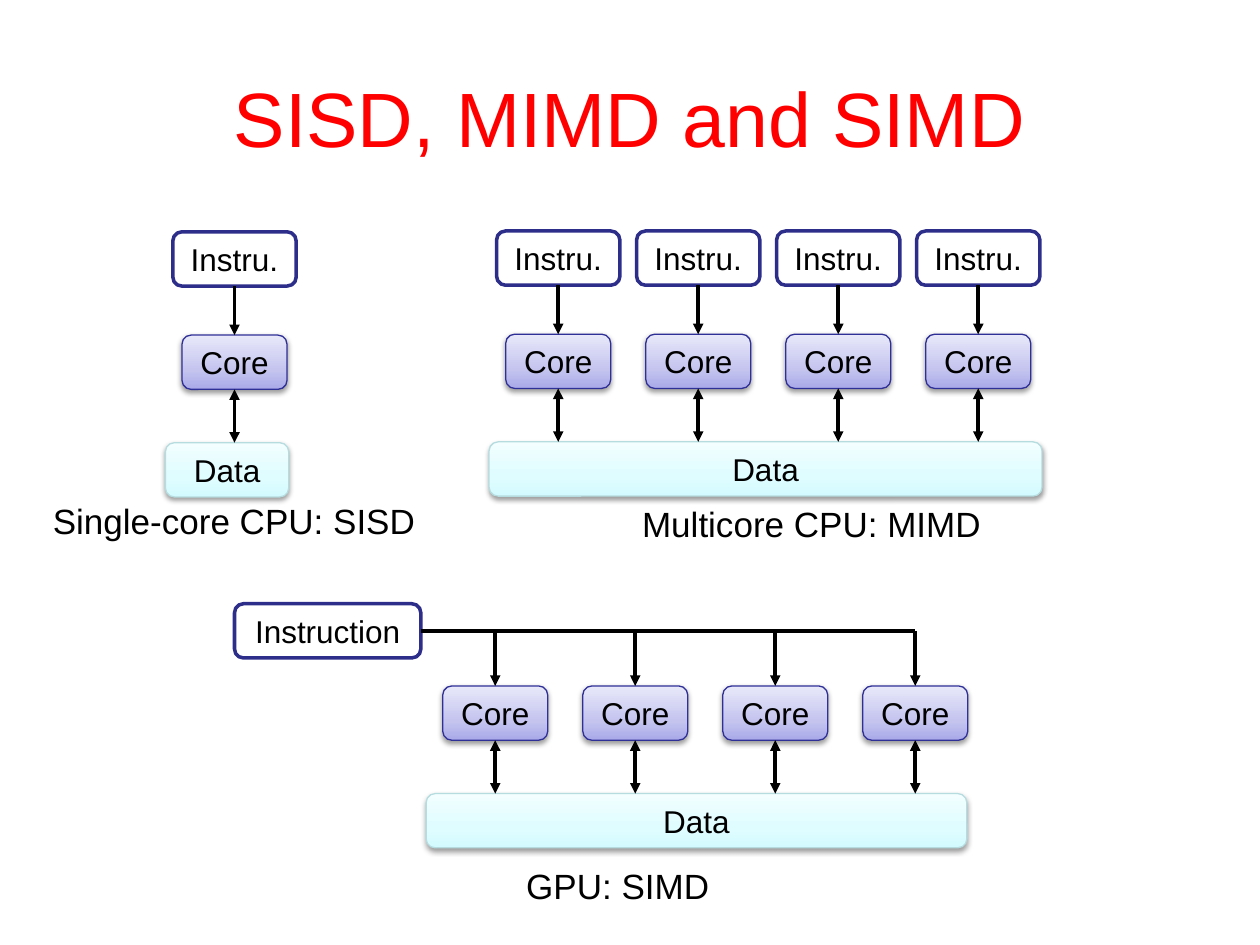
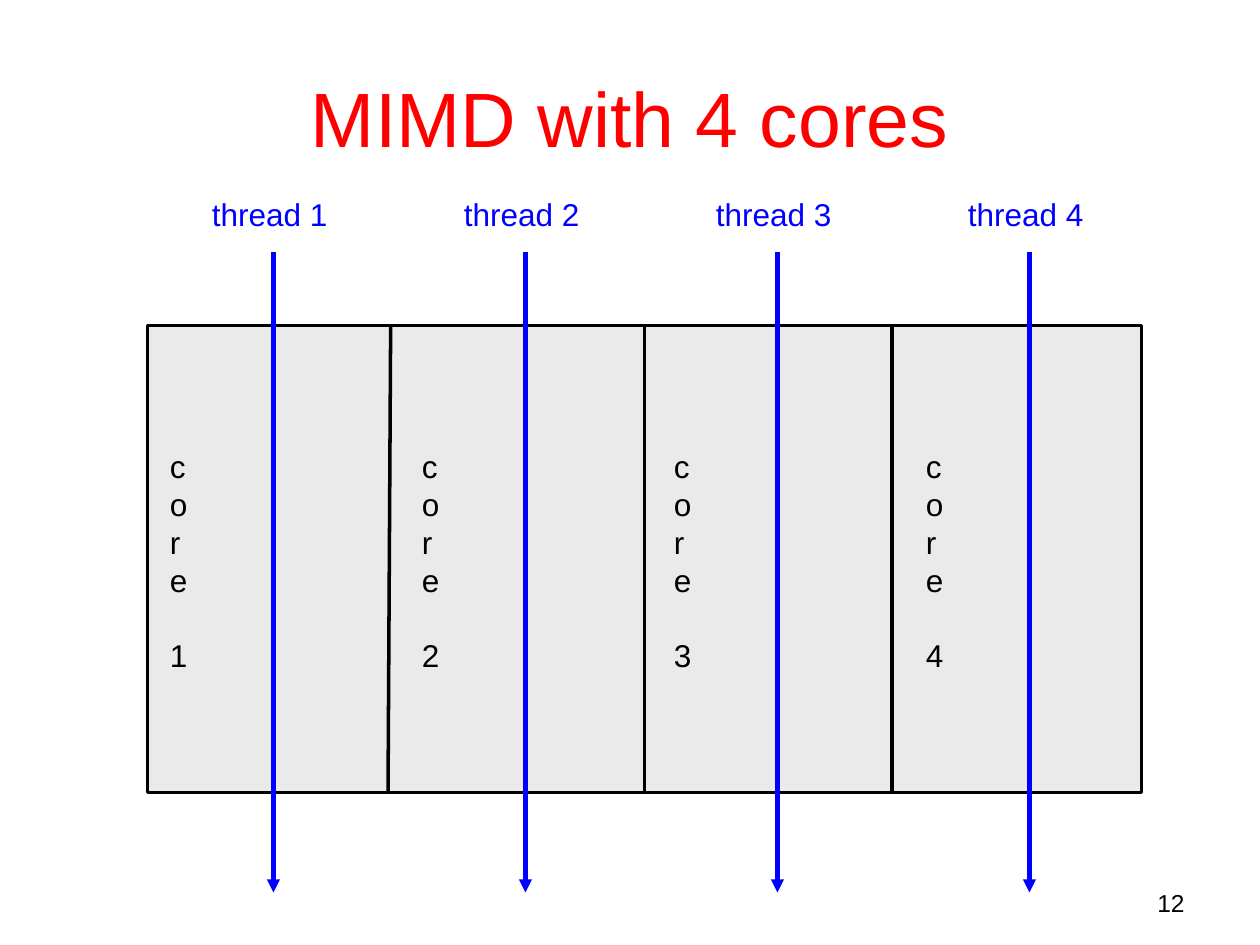
from dataclasses import dataclass

from lxml.etree import SubElement
from pptx import Presentation
from pptx.dml.color import RGBColor
from pptx.enum.shapes import MSO_CONNECTOR as CONN, MSO_SHAPE as SHAPE
from pptx.enum.text import MSO_ANCHOR as ANCHOR, PP_ALIGN as ALIGN
from pptx.oxml.ns import qn
from pptx.util import Pt


@dataclass(frozen=True)
class Theme:
    """Colours, type sizes and measures shared by the slides."""
    font: str = "Arial"
    title: str = "FF0000"
    ink: str = "000000"
    thread: str = "0000FF"
    panel: str = "EAEAEA"
    white: str = "FFFFFF"
    instr_line: str = "2D2D8A"
    core_line: str = "2F2F98"
    data_line: str = "B6DCDF"
    core_fill: tuple = ((0, "A9A9E9"), (35, "C4C4EF"), (100, "E8E8FA"))
    data_fill: tuple = ((0, "D3FBFF"), (35, "DFFCFF"), (100, "F2FEFF"))
    title_size: int = 44
    caption_size: int = 20
    label_size: int = 18
    page_size: int = 14
    block_h: float = 31
    core_w: float = 60
    core_pitch: float = 80
    core_indent: float = 9.5
    core_to_data: float = 61.5


T = Theme()


def rgb(value):
    """Turn a hex string into a colour."""
    return RGBColor.from_string(value)


def write(tf, *lines, size=T.label_size, color=T.ink, align=ALIGN.LEFT,
          anchor=ANCHOR.TOP, wrap=True, leading=None, gap=0):
    """Fill a text frame with one paragraph per line."""
    tf.word_wrap = wrap
    tf.vertical_anchor = anchor
    for i, line in enumerate(lines):
        p = tf.paragraphs[0] if i == 0 else tf.add_paragraph()
        p.alignment = align
        if leading:
            p.line_spacing = Pt(leading)
        if i and gap:
            p.space_before = Pt(gap)
        r = p.add_run()
        r.text = line
        r.font.name = T.font
        r.font.size = Pt(size)
        r.font.color.rgb = rgb(color)


def text(s, box, *lines, **fmt):
    """Add a text box at the given box."""
    write(s.shapes.add_textbox(*map(Pt, box)).text_frame, *lines, **fmt)


def shape(s, kind, box, fill, line, width):
    """Add a flat preset shape."""
    sp = s.shapes.add_shape(kind, *map(Pt, box))
    sp.shadow.inherit = False
    sp.fill.solid()
    sp.fill.fore_color.rgb = rgb(fill)
    sp.line.color.rgb = rgb(line)
    sp.line.width = Pt(width)
    return sp


def glossy(sp, stops):
    """Give a shape an upward gradient and a soft shadow."""
    sp.fill.gradient()
    sp.fill.gradient_angle = 90
    props = sp.element.spPr
    stop_list = props.find(".//" + qn("a:gsLst"))
    stop_list.clear()
    for pos, color in stops:
        stop = SubElement(stop_list, qn("a:gs"), pos=str(pos * 1000))
        SubElement(stop, qn("a:srgbClr"), val=color)
    shadow = SubElement(props.find(qn("a:effectLst")), qn("a:outerShdw"),
                        blurRad=str(Pt(3.1)), dist=str(Pt(1.6)),
                        dir="5400000", rotWithShape="0")
    tint = SubElement(shadow, qn("a:srgbClr"), val=T.ink)
    SubElement(tint, qn("a:alpha"), val="38000")


def block(s, box, label, line, stops=None):
    """Add a labelled rounded block, plain or glossy."""
    sp = shape(s, SHAPE.ROUNDED_RECTANGLE, box, T.white, line,
               0.75 if stops else 2)
    if stops:
        glossy(sp, stops)
    write(sp.text_frame, label, align=ALIGN.CENTER, anchor=ANCHOR.MIDDLE)
    return sp


def line(s, start, end, color=T.ink, width=2, head=False, tail=False,
         begin=None, finish=None):
    """Add a straight line, with optional arrowheads and joined ends."""
    c = s.shapes.add_connector(CONN.STRAIGHT, *map(Pt, (*start, *end)))
    c.line.color.rgb = rgb(color)
    c.line.width = Pt(width)
    props = c.element.spPr
    for name, wanted in (("a:headEnd", head), ("a:tailEnd", tail)):
        if wanted:
            SubElement(props.find(qn("a:ln")), qn(name), type="triangle")
    SubElement(props, qn("a:effectLst"))
    if begin:
        c.begin_connect(*begin)
    if finish:
        c.end_connect(*finish)


def cores_on_data(s, box, count):
    """Place a row of cores over one data bar; return cores and centres."""
    x, y, w, h = box
    data_y = y + T.core_to_data
    block(s, (x, data_y, w, T.block_h), "Data", T.data_line, T.data_fill)
    cores = []
    for i in range(count):
        left = x + T.core_indent + i * T.core_pitch
        mid = left + T.core_w / 2
        core = block(s, (left, y, T.core_w, T.block_h), "Core",
                     T.core_line, T.core_fill)
        line(s, (mid, y + T.block_h), (mid, data_y), head=True, tail=True,
             begin=(core, 2))
        cores.append((core, mid))
    return cores


def cpu(s, box, count):
    """Draw cores that each have their own instruction block."""
    x, y, w, h = box
    core_y, instr_w = y + 59, 70.5
    for core, mid in cores_on_data(s, (x, core_y, w, h - 59), count):
        instr = block(s, (mid - instr_w / 2, y, instr_w, T.block_h),
                      "Instru.", T.instr_line)
        line(s, (mid, y + T.block_h), (mid, core_y), tail=True,
             begin=(instr, 2), finish=(core, 0))


def gpu(s, box, count):
    """Draw cores that share one instruction block through a bus."""
    x, y, w, h = box
    core_y, bus_y, instr_w, shift = y + 47, y + T.block_h / 2, 106.5, 109.5
    instr = block(s, (x, y, instr_w, T.block_h), "Instruction", T.instr_line)
    cores = cores_on_data(s, (x + shift, core_y, w - shift, h - 47), count)
    for core, mid in cores:
        line(s, (mid, bus_y), (mid, core_y), tail=True, finish=(core, 0))
    line(s, (x + instr_w, bus_y), (cores[-1][1], bus_y), begin=(instr, 3))


def threaded_cores(s, box, count):
    """Draw a panel split into cores, each crossed by a thread arrow."""
    x, y, w, h = box
    panel = shape(s, SHAPE.RECTANGLE, box, T.panel, T.ink, 2)
    line(s, (x + w / 2, y), (x + w / 2, y + h), begin=(panel, 0),
         finish=(panel, 2))
    for top_dx, bottom_dx in ((139, 137.5), (425.5, 425.5)):
        line(s, (x + top_dx, y), (x + bottom_dx, y + h))
    for i in range(count):
        left, number = x + i * 144, i + 1
        text(s, (left + 5.75, y + 66, 26, 137), "core", str(number),
             leading=21.6, gap=21.6)
        line(s, (left + 72, y - 42), (left + 72, y + 324), color=T.thread,
             width=2.5, tail=True)
        text(s, (left + 29.75, y - 78, 80.5, 29), f"thread {number}",
             color=T.thread, wrap=False)


def new_slide(prs, title):
    """Add a blank slide with the shared title."""
    s = prs.slides.add_slide(prs.slide_layouts[6])
    text(s, (36, 21.5, 648, 90), title, size=T.title_size, color=T.title,
         align=ALIGN.CENTER, anchor=ANCHOR.MIDDLE)
    return s


def architectures(prs):
    """Build the slide comparing the three architectures."""
    s = new_slide(prs, "SISD, MIMD and SIMD")
    cpu(s, (94.5, 132.5, 70.5, 151.5), 1)
    cpu(s, (279.5, 132, 316, 151.5), 4)
    gpu(s, (134, 345, 418.5, 139.5), 4)
    for box, caption in (((22.5, 282, 222.5, 31.5), "Single-core CPU: SISD"),
                         ((359, 283.5, 209.5, 31.5), "Multicore CPU: MIMD"),
                         ((293, 490.5, 120, 31.5), "GPU: SIMD")):
        text(s, box, caption, size=T.caption_size, align=ALIGN.CENTER,
             wrap=False)


def mimd_cores(prs):
    """Build the slide with four cores and their threads."""
    s = new_slide(prs, "MIMD with 4 cores")
    threaded_cores(s, (84.25, 186, 568, 267), 4)
    text(s, (516, 504, 168, 25), "12", size=T.page_size, align=ALIGN.RIGHT)


def main():
    """Build and save the presentation."""
    prs = Presentation()
    prs.slide_width, prs.slide_height = Pt(720), Pt(540)
    architectures(prs)
    mimd_cores(prs)
    prs.save("out.pptx")


if __name__ == "__main__":
    main()
